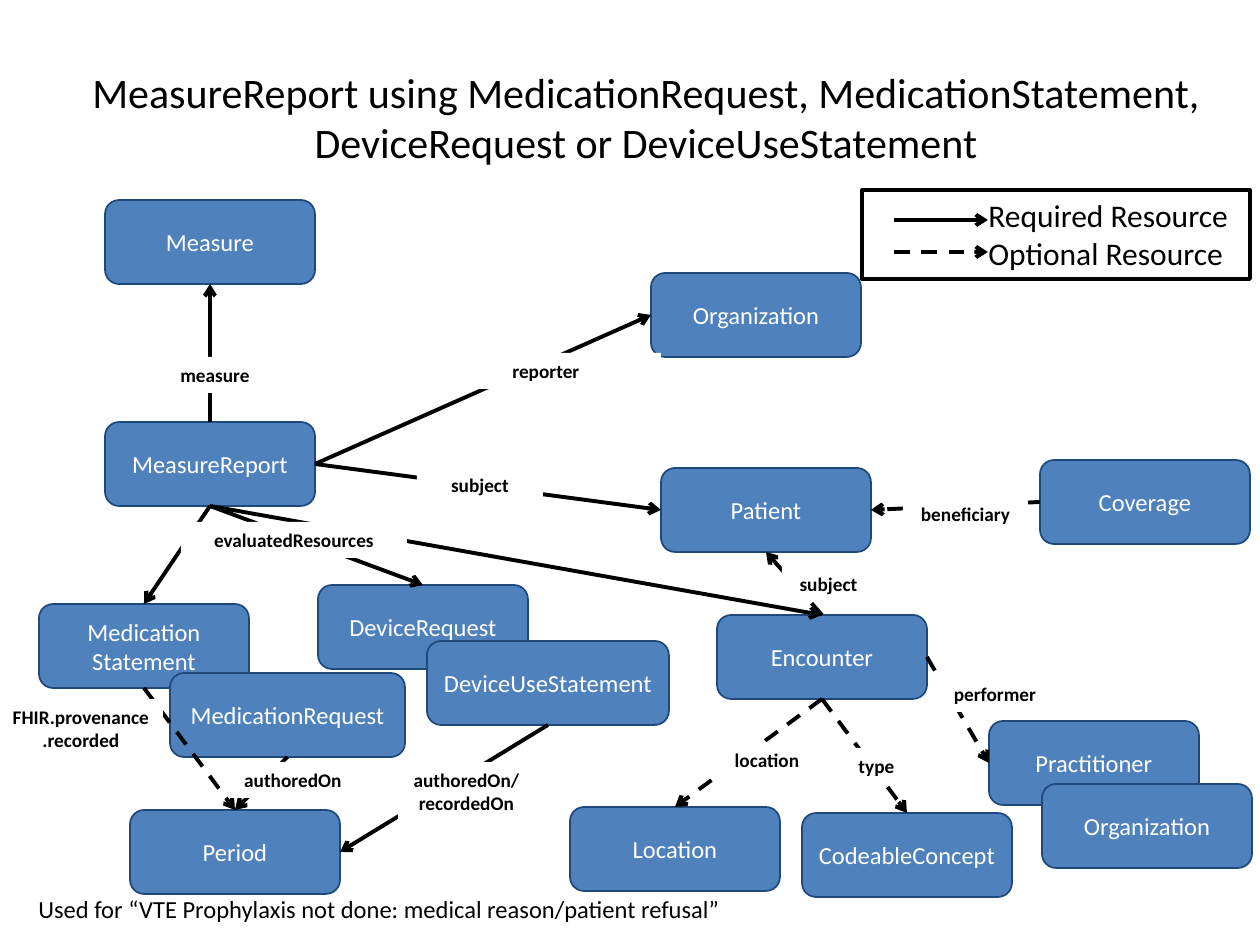
from lxml import etree
from pptx import Presentation
from pptx.dml.color import RGBColor
from pptx.enum.dml import MSO_LINE
from pptx.enum.shapes import MSO_CONNECTOR, MSO_SHAPE
from pptx.enum.text import MSO_ANCHOR, PP_ALIGN
from pptx.oxml.ns import qn
from pptx.util import Pt

PX = 914400 // 126
ROUNDED, RECT = MSO_SHAPE.FLOWCHART_ALTERNATE_PROCESS, MSO_SHAPE.RECTANGLE
STRAIGHT, DASH = MSO_CONNECTOR.STRAIGHT, MSO_LINE.DASH
LEFT, CENTER = PP_ALIGN.LEFT, PP_ALIGN.CENTER
TOP_ANCHOR, MIDDLE = MSO_ANCHOR.TOP, MSO_ANCHOR.MIDDLE
TOP_SITE, LEFT_SITE, BOTTOM_SITE, RIGHT_SITE = range(4)
BOX_W, BOX_H = 210, 84

STYLES = {
    "title": {"kind": RECT, "size": 24, "color": "000000", "align": CENTER,
              "frame": {"vertical_anchor": MIDDLE}},
    "resource": {"kind": ROUNDED, "fill": "4F81BD", "line": ("1F497D", 1),
                 "size": 14, "color": "FFFFFF", "align": CENTER,
                 "frame": {"vertical_anchor": MIDDLE,
                           "margin_left": 0, "margin_right": 0}},
    "label": {"kind": RECT, "fill": "FFFFFF", "size": 11, "color": "000000",
              "align": CENTER, "bold": True,
              "frame": {"vertical_anchor": TOP_ANCHOR}},
    "legend": {"kind": RECT, "line": ("000000", 2.25), "size": 18,
               "color": "000000", "align": LEFT, "indent": 114,
               "frame": {"vertical_anchor": TOP_ANCHOR}},
    "note": {"kind": RECT, "size": 14, "color": "000000", "align": LEFT,
             "frame": {"vertical_anchor": TOP_ANCHOR}},
}

prs = Presentation()
prs.slide_width, prs.slide_height = 1260 * PX, 945 * PX
slide = prs.slides.add_slide(prs.slide_layouts[6])


def add_text(style_name, text, left, top, width, height):
    """Add a block of text in a named style and return its shape."""
    style = STYLES[style_name]
    place = [length * PX for length in (left, top, width, height)]
    if "fill" in style or "line" in style:
        block = slide.shapes.add_shape(style["kind"], *place)
        block.shadow.inherit = False
        block.fill.background()
        block.line.fill.background()
    else:
        block = slide.shapes.add_textbox(*place)
    if "fill" in style:
        block.fill.solid()
        block.fill.fore_color.rgb = RGBColor.from_string(style["fill"])
    if "line" in style:
        line_color, line_width = style["line"]
        block.line.color.rgb = RGBColor.from_string(line_color)
        block.line.width = Pt(line_width)
    frame = block.text_frame
    frame.text = text
    for name, value in {"word_wrap": True, **style["frame"]}.items():
        setattr(frame, name, value)
    font_values = {"name": "Calibri", "size": Pt(style["size"]),
                   "bold": style.get("bold", False)}
    for paragraph in frame.paragraphs:
        paragraph.alignment = style["align"]
        if "indent" in style:
            paragraph._p.get_or_add_pPr().set("marL", str(style["indent"] * PX))
        for run in paragraph.runs:
            for name, value in font_values.items():
                setattr(run.font, name, value)
            run.font.color.rgb = RGBColor.from_string(style["color"])
    return block


def add_arrow(dashed, left=0, top=0, right=0, bottom=0):
    """Add a black arrow, solid for required and dashed for optional."""
    arrow = slide.shapes.add_connector(
        STRAIGHT, left * PX, top * PX, right * PX, bottom * PX)
    arrow.line.color.rgb = RGBColor.from_string("000000")
    arrow.line.width = Pt(2.25)
    if dashed:
        arrow.line.dash_style = DASH
    etree.SubElement(arrow.line._get_or_add_ln(), qn("a:tailEnd"), type="arrow")
    etree.SubElement(arrow._element.spPr, qn("a:effectLst"))
    return arrow


add_text("title", "MeasureReport using MedicationRequest, MedicationStatement, "
         "DeviceRequest or DeviceUseStatement", 63, 38, 1166, 157)

# Resources: key, text, left, top, width
resources = {}
for key, text, left, top, width in [
    ("measure", "Measure", 105, 200, BOX_W),
    ("report", "MeasureReport", 105, 422, BOX_W),
    ("reporter", "Organization", 651, 273, BOX_W),
    ("patient", "Patient", 661, 468, BOX_W),
    ("encounter", "Encounter", 717, 615, BOX_W),
    ("location", "Location", 570, 807, BOX_W),
    ("coverage", "Coverage", 1040, 460, BOX_W),
    ("concept", "CodeableConcept", 802, 813, BOX_W),
    ("practitioner", "Practitioner", 989, 721, BOX_W),
    ("performer", "Organization", 1042, 784, BOX_W),
    ("statement", "Medication\nStatement", 39, 604, BOX_W),
    ("request", "MedicationRequest", 170, 673, 235),
    ("period", "Period", 130, 810, BOX_W),
    ("device", "DeviceRequest", 318, 585, BOX_W),
    ("device_use", "DeviceUseStatement", 427, 641, 242),
]:
    resources[key] = add_text("resource", text, left, top, width, BOX_H)

# References: source, its site, target, its site, optional
for source, source_site, target, target_site, optional in [
    ("report", TOP_SITE, "measure", BOTTOM_SITE, False),
    ("report", BOTTOM_SITE, "encounter", TOP_SITE, False),
    ("report", RIGHT_SITE, "reporter", LEFT_SITE, False),
    ("report", RIGHT_SITE, "patient", LEFT_SITE, False),
    ("report", BOTTOM_SITE, "statement", TOP_SITE, False),
    ("report", BOTTOM_SITE, "device", TOP_SITE, False),
    ("device_use", BOTTOM_SITE, "period", RIGHT_SITE, False),
    ("encounter", BOTTOM_SITE, "location", TOP_SITE, True),
    ("encounter", BOTTOM_SITE, "concept", TOP_SITE, True),
    ("encounter", TOP_SITE, "patient", BOTTOM_SITE, True),
    ("encounter", RIGHT_SITE, "practitioner", LEFT_SITE, True),
    ("coverage", LEFT_SITE, "patient", RIGHT_SITE, True),
    ("request", BOTTOM_SITE, "period", TOP_SITE, True),
    ("statement", BOTTOM_SITE, "period", TOP_SITE, True),
]:
    reference = add_arrow(optional)
    reference.begin_connect(resources[source], source_site)
    reference.end_connect(resources[target], target_site)

# Reference names: text, left, top, width, height
for text, left, top, width, height in [
    ("measure", 136, 357, 158, 36),
    ("reporter", 431, 353, 230, 36),
    ("subject", 417, 467, 126, 36),
    ("beneficiary", 903, 496, 125, 36),
    ("performer", 935, 676, 120, 36),
    ("location", 712, 742, 110, 36),
    ("type", 838, 748, 77, 36),
    ("subject", 782, 566, 93, 36),
    ("authoredOn", 230, 762, 126, 36),
    ("FHIR.provenance.recorded", -1, 699, 164, 59),
    ("evaluatedResources", 181, 522, 226, 36),
    ("authoredOn/\nrecordedOn", 398, 762, 137, 59),
]:
    add_text("label", text, left, top, width, height)

add_text("legend", "Required Resource\nOptional Resource", 862, 190, 388, 89)
for optional, middle in [(False, 220), (True, 252)]:
    add_arrow(optional, 894, middle, 988, middle)

add_text("note", "Used for “VTE Prophylaxis not done: medical reason/patient refusal”",
         26, 888, 1223, 43)

prs.save("out.pptx")
